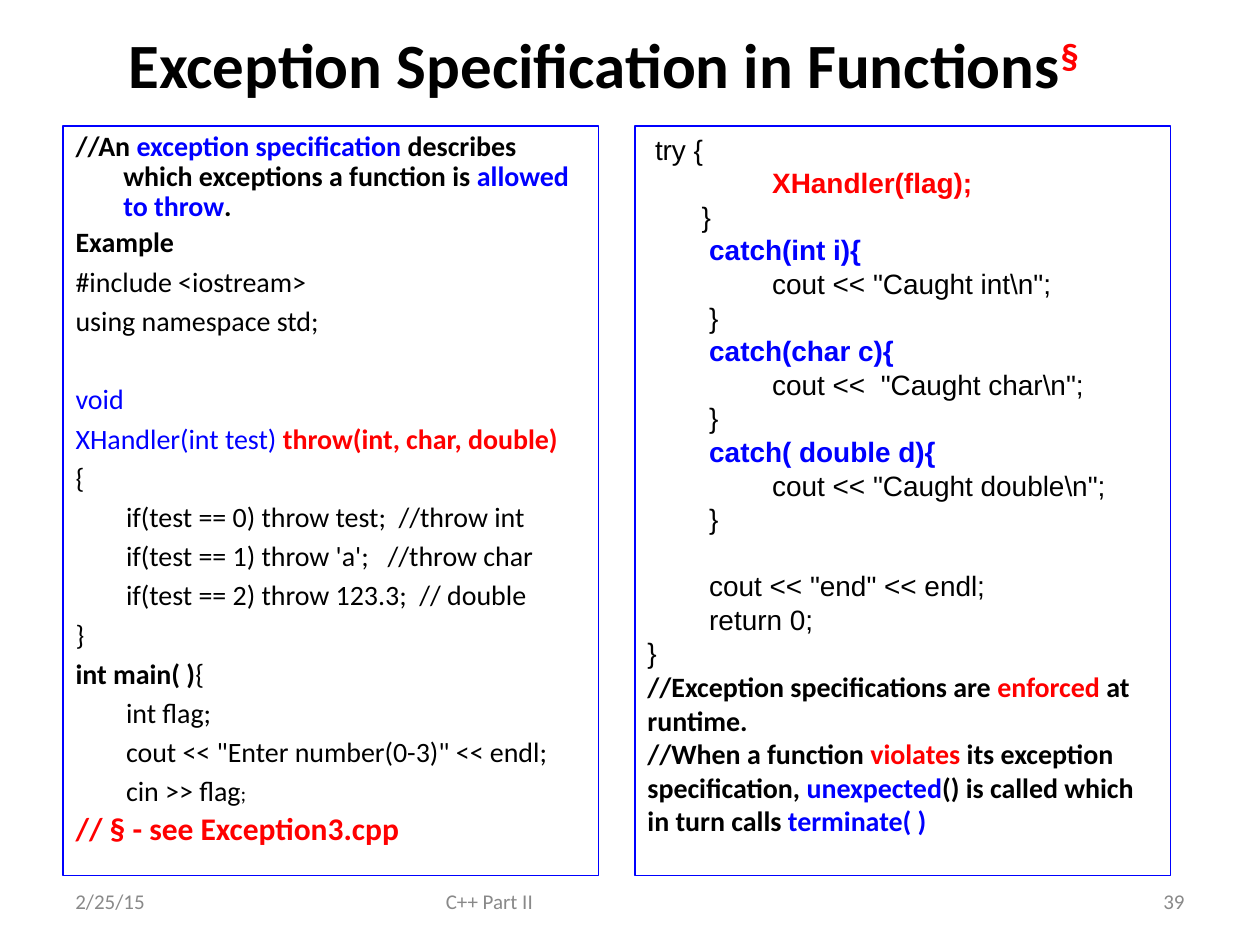
from dataclasses import dataclass

from lxml import etree
from pptx import Presentation
from pptx.dml.color import RGBColor
from pptx.enum.shapes import MSO_SHAPE
from pptx.enum.text import MSO_ANCHOR, MSO_AUTO_SIZE, PP_ALIGN
from pptx.oxml.ns import qn
from pptx.util import Inches, Pt

LEFT, CENTER, RIGHT = PP_ALIGN.LEFT, PP_ALIGN.CENTER, PP_ALIGN.RIGHT
TOP, MIDDLE = MSO_ANCHOR.TOP, MSO_ANCHOR.MIDDLE
NO_AUTOFIT = MSO_AUTO_SIZE.NONE
RECTANGLE = MSO_SHAPE.RECTANGLE


@dataclass(frozen=True)
class Theme:
    black: str = "000000"
    blue: str = "0000FF"
    red: str = "FF0000"
    gray: str = "898989"
    text_font: str = "Calibri"
    code_font: str = "Arial"
    title_size: float = 36
    note_size: float = 18
    body_size: float = 16
    small_size: float = 12


THEME = Theme()

BLUE = {"color": THEME.blue}
BOLD = {"bold": True}
BLUE_BOLD = {**BLUE, **BOLD}
RED_BOLD = {"color": THEME.red, **BOLD}
RED_NOTE = {**RED_BOLD, "size": THEME.note_size}
SMALL = {"size": THEME.small_size}
FOOTER = {**SMALL, "color": THEME.gray}
SUPERSCRIPT = {**RED_BOLD, "baseline": 30000}
PLAIN = {}

TITLE = [("Exception Specification in Functions", BOLD), ("§", SUPERSCRIPT)]

CODE_INDENT = 0.4
HANGING = 0.38
TIGHT = {"line_spacing": 0.9}
AFTER_GAP = {"space_before": 25.6}

DECLARATION = [
    ([("//An ", BOLD), ("exception specification ", BLUE_BOLD),
      ("describes which exceptions a function is ", BOLD),
      ("allowed to throw", BLUE_BOLD), (".", BOLD)], 0, TIGHT),
    ([("Example", BOLD)], 0, TIGHT),
    ([("#include <iostream>", PLAIN)], 0, {}),
    ([("using namespace std;", PLAIN)], 0, {}),
    ([("void", BLUE)], 0, AFTER_GAP),
    ([("XHandler(int test) ", BLUE), ("throw(int, char, double)", RED_BOLD)], 0, {}),
    ([("{", PLAIN)], 0, {}),
    ([("if(test == 0) throw test;  //throw int", PLAIN)], CODE_INDENT, {}),
    ([("if(test == 1) throw 'a';   //throw char", PLAIN)], CODE_INDENT, {}),
    ([("if(test == 2) throw 123.3;  // double", PLAIN)], CODE_INDENT, {}),
    ([("}", PLAIN)], 0, {}),
    ([("int main( )", BOLD), ("{", PLAIN)], 0, {}),
    ([("int flag;", PLAIN)], CODE_INDENT, {}),
    ([("cout << \"Enter number(0-3)\" << endl;", PLAIN)], CODE_INDENT, {}),
    ([("cin >> flag", PLAIN), (";", SMALL)], CODE_INDENT, {}),
    ([("// § - see Exception3.cpp", RED_NOTE)], 0, TIGHT),
]

LINE_PITCH = 19.2
STATEMENT, INNER = 0.49, 0.99

HANDLER_CODE = [
    ("try {", 0.06, PLAIN, 0),
    ("XHandler(flag);", INNER, RED_BOLD, 0),
    ("}", 0.43, PLAIN, 0),
    ("catch(int i){", STATEMENT, BLUE_BOLD, 0),
    ("cout << \"Caught int\\n\";", INNER, PLAIN, 0),
    ("}", STATEMENT, PLAIN, 0),
    ("catch(char c){", STATEMENT, BLUE_BOLD, 0),
    ("cout <<  \"Caught char\\n\";", INNER, PLAIN, 0),
    ("}", STATEMENT, PLAIN, 0),
    ("catch( double d){", STATEMENT, BLUE_BOLD, 0),
    ("cout << \"Caught double\\n\";", INNER, PLAIN, 0),
    ("}", STATEMENT, PLAIN, 0),
    ("cout << \"end\" << endl;", STATEMENT, PLAIN, LINE_PITCH),
    ("return 0;", STATEMENT, PLAIN, 0),
    ("}", 0, PLAIN, 0),
]

HANDLER_NOTES = [
    [("//Exception specifications are ", BOLD), ("enforced ", RED_BOLD),
     ("at runtime.", BOLD)],
    [("//When a function ", BOLD), ("violates ", RED_BOLD),
     ("its exception specification, ", BOLD), ("unexpected", BLUE_BOLD),
     ("() is called which in turn calls ", BOLD), ("terminate( )", BLUE_BOLD)],
]

FOOTERS = [
    ("2/25/15", 0.5, 2.33, LEFT),
    ("C++ Part II", 3.44, 3.17, LEFT),
    ("39", 7.17, 2.33, RIGHT),
]

PANEL_TOP, PANEL_WIDTH, PANEL_HEIGHT = 1, 4.25, 5.95
PANEL_LEFTS = (0.5, 5.04)
FOOTER_TOP, FOOTER_HEIGHT = PANEL_TOP + PANEL_HEIGHT, 0.4


def place(shape, left, top, width, height):
    shape.left, shape.top = Inches(left), Inches(top)
    shape.width, shape.height = Inches(width), Inches(height)


def prepare_frame(shape, anchor):
    frame = shape.text_frame
    frame.word_wrap = True
    frame.auto_size = NO_AUTOFIT
    frame.vertical_anchor = anchor
    return frame


def outline(shape):
    shape.fill.background()
    shape.line.color.rgb = RGBColor.from_string(THEME.blue)
    shape.line.width = Pt(0.75)


def add_text(frame, runs, font=THEME.text_font, size=THEME.body_size, align=LEFT,
             indent=0, hanging=0, space_before=0, line_spacing=1.0):
    paragraph = frame.paragraphs[0]
    if paragraph.runs:
        paragraph = frame.add_paragraph()
    paragraph.alignment = align
    paragraph.line_spacing = line_spacing
    paragraph.space_before = Pt(space_before)
    paragraph.space_after = Pt(0)
    properties = paragraph._p.get_or_add_pPr()
    properties.set("marL", str(Inches(indent + hanging)))
    properties.set("indent", str(-Inches(hanging)))
    etree.SubElement(properties, qn("a:buNone"))
    for text, style in runs:
        run = paragraph.add_run()
        run.text = text
        run.font.name = font
        run.font.size = Pt(style.get("size", size))
        run.font.bold = style.get("bold", False)
        run.font.color.rgb = RGBColor.from_string(style.get("color", THEME.black))
        if "baseline" in style:
            run._r.get_or_add_rPr().set("baseline", str(style["baseline"]))


def main():
    presentation = Presentation()
    presentation.slide_width, presentation.slide_height = Inches(10), Inches(7.5)
    slide = presentation.slides.add_slide(presentation.slide_layouts[1])

    title = slide.shapes.title
    place(title, 0.29, 0, 9, 1)
    add_text(prepare_frame(title, MIDDLE), TITLE, size=THEME.title_size, align=CENTER)

    declaration = slide.placeholders[1]
    place(declaration, PANEL_LEFTS[0], PANEL_TOP, PANEL_WIDTH, PANEL_HEIGHT)
    outline(declaration)
    frame = prepare_frame(declaration, TOP)
    for runs, indent, spacing in DECLARATION:
        add_text(frame, runs, indent=indent, hanging=HANGING,
                 **{"space_before": 3.2, **spacing})

    for text, left, width, align in FOOTERS:
        box = slide.shapes.add_textbox(Inches(left), Inches(FOOTER_TOP),
                                       Inches(width), Inches(FOOTER_HEIGHT))
        add_text(prepare_frame(box, MIDDLE), [(text, FOOTER)], align=align)

    handler = slide.shapes.add_shape(RECTANGLE, Inches(PANEL_LEFTS[1]), Inches(PANEL_TOP),
                                     Inches(PANEL_WIDTH), Inches(PANEL_HEIGHT))
    handler.shadow.inherit = False
    outline(handler)
    frame = prepare_frame(handler, TOP)
    for text, indent, style, gap in HANDLER_CODE:
        add_text(frame, [(text, style)], font=THEME.code_font, indent=indent,
                 space_before=gap, line_spacing=Pt(LINE_PITCH))
    for runs in HANDLER_NOTES:
        add_text(frame, runs, line_spacing=Pt(LINE_PITCH))

    presentation.save("out.pptx")


if __name__ == "__main__":
    main()
